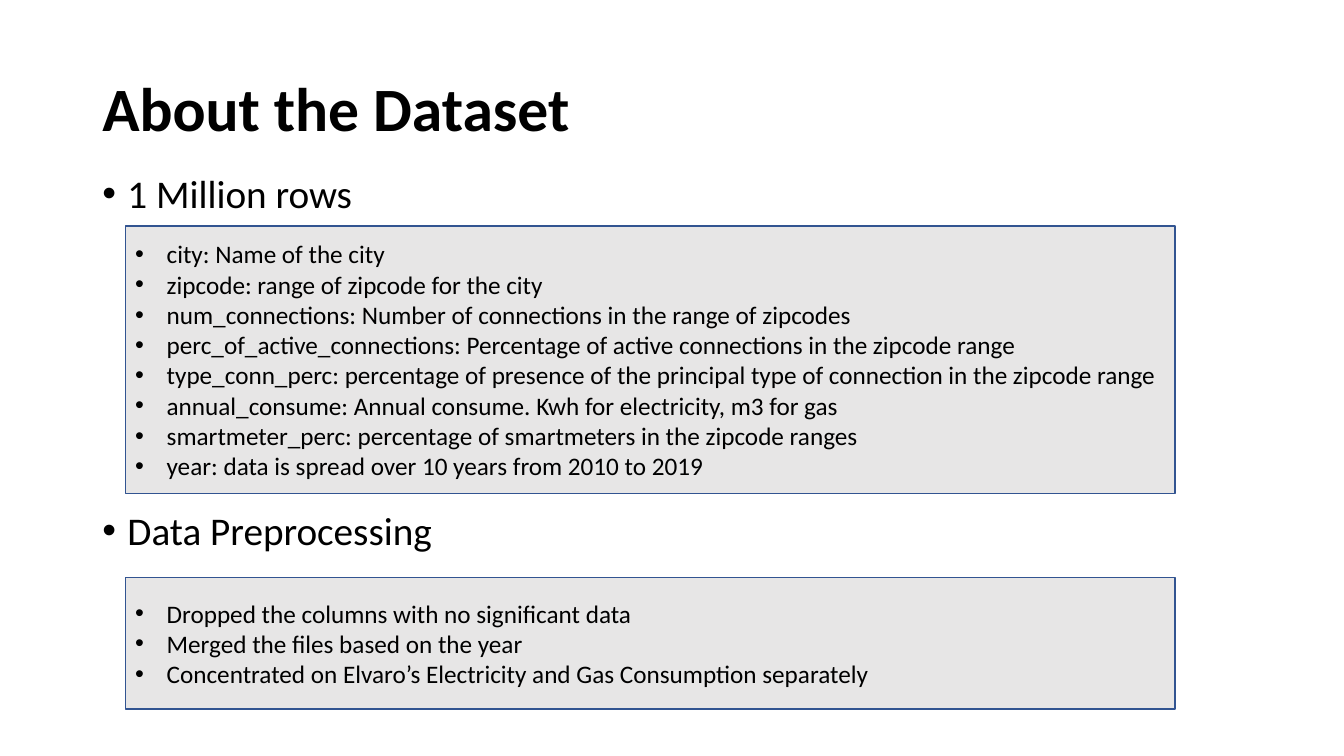
"""Builds the "About the Dataset" slide."""
from lxml.etree import SubElement
from pptx import Presentation
from pptx.dml.color import RGBColor
from pptx.enum.shapes import MSO_SHAPE as Shape
from pptx.enum.text import MSO_ANCHOR as Anchor, PP_ALIGN as Align
from pptx.oxml.ns import qn
from pptx.util import Pt

TITLE = "About the Dataset"
HEADINGS = ["1 Million rows", "Data Preprocessing"]
COLUMNS = [
    "city: Name of the city",
    "zipcode: range of zipcode for the city",
    "num_connections: Number of connections in the range of zipcodes",
    "perc_of_active_connections: Percentage of active connections in the zipcode range",
    "type_conn_perc: percentage of presence of the principal type of connection in the zipcode range",
    "annual_consume: Annual consume. Kwh for electricity, m3 for gas",
    "smartmeter_perc: percentage of smartmeters in the zipcode ranges",
    "year: data is spread over 10 years from 2010 to 2019",
]
STEPS = [
    "Dropped the columns with no significant data",
    "Merged the files based on the year",
    "Concentrated on Elvaro’s Electricity and Gas Consumption separately",
]
PANELS = [(161.5, 191, COLUMNS), (412.5, 94, STEPS)]
PANEL_LEFT, PANEL_WIDTH = 89.5, 750
TEXT_LEFT, TEXT_WIDTH = 66, 828
HEADING_GAP = 210.5
FONT, BLACK, PANEL_FILL, PANEL_LINE = "Calibri", "000000", "E7E6E6", "325491"


def color(value):
    return RGBColor.from_string(value)


def write(shape, lines, size, bold=False, indent=0, spacing=1.0, anchor=Anchor.MIDDLE):
    frame = shape.text_frame
    frame.text = "\n".join(lines)
    frame.word_wrap = True
    frame.vertical_anchor = anchor
    for paragraph in frame.paragraphs:
        paragraph.alignment = Align.LEFT
        paragraph.line_spacing = spacing
        font = paragraph.runs[0].font
        font.name, font.size, font.bold = FONT, Pt(size), bold
        font.color.rgb = color(BLACK)
        if indent:
            add_bullet(paragraph, indent)


def add_bullet(paragraph, indent):
    properties = paragraph._p.get_or_add_pPr()
    properties.set("marL", str(Pt(indent)))
    properties.set("indent", str(-Pt(indent)))
    SubElement(properties, qn("a:buFont")).set("typeface", "Arial")
    SubElement(properties, qn("a:buChar")).set("char", "•")


def add_text(slide, top, height, lines, size, **style):
    box = slide.shapes.add_textbox(Pt(TEXT_LEFT), Pt(top), Pt(TEXT_WIDTH), Pt(height))
    write(box, lines, size, **style)
    return box


def add_panel(slide, top, height, lines):
    panel = slide.shapes.add_shape(
        Shape.RECTANGLE, Pt(PANEL_LEFT), Pt(top), Pt(PANEL_WIDTH), Pt(height))
    panel.shadow.inherit = False
    panel.fill.solid()
    panel.fill.fore_color.rgb = color(PANEL_FILL)
    panel.line.color.rgb = color(PANEL_LINE)
    panel.line.width = Pt(1)
    write(panel, lines, 18, indent=22.5)


presentation = Presentation()
presentation.slide_width, presentation.slide_height = Pt(960), Pt(540)
slide = presentation.slides.add_slide(presentation.slide_layouts[6])

add_text(slide, 27.5, 104.5, [TITLE], 44, bold=True, spacing=0.9)
headings = add_text(slide, 121, 366, HEADINGS, 28, indent=18, spacing=0.9, anchor=Anchor.TOP)
headings.text_frame.paragraphs[1].space_before = Pt(HEADING_GAP)
for top, height, lines in PANELS:
    add_panel(slide, top, height, lines)

presentation.save("out.pptx")
